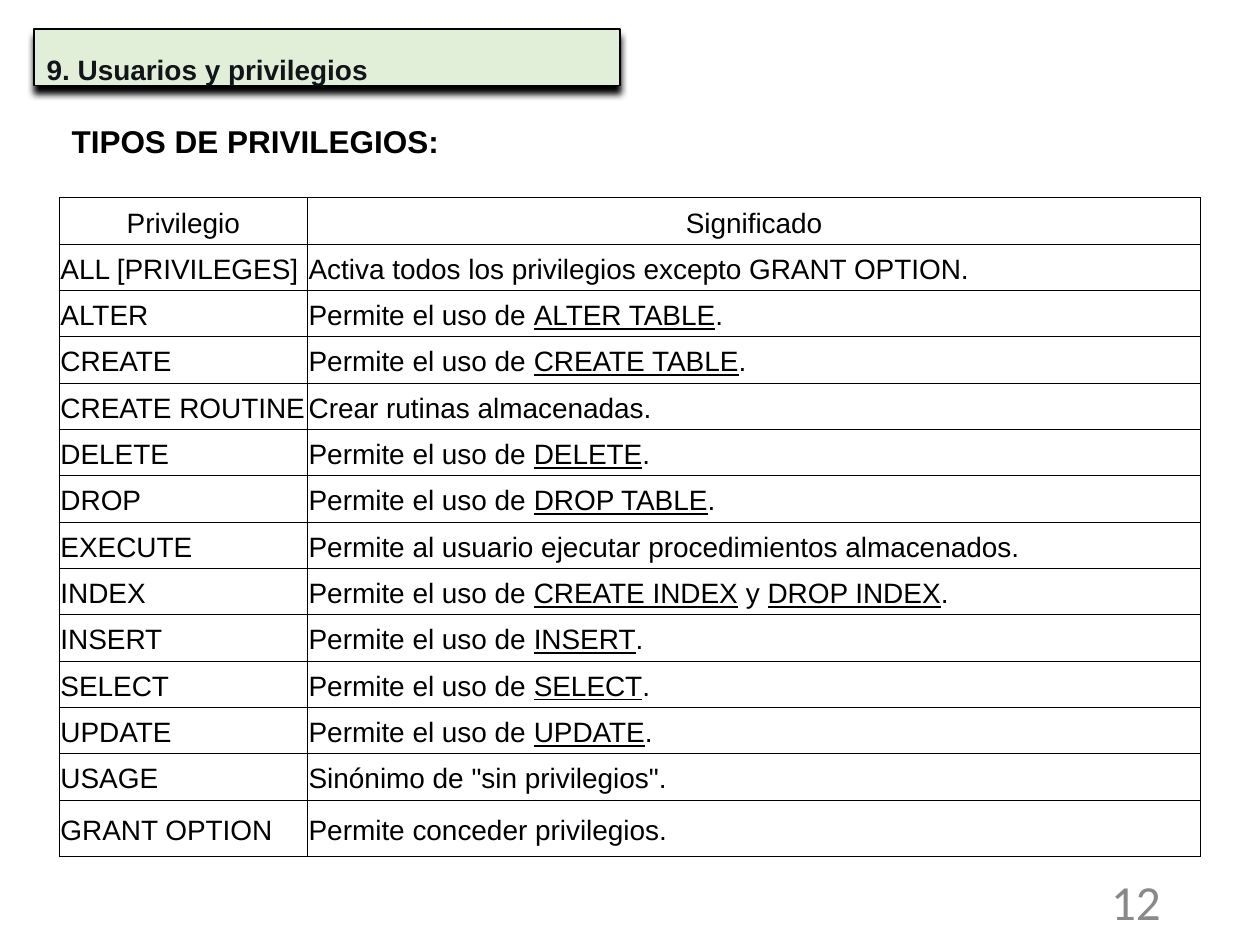
from lxml.etree import SubElement, fromstring
from pptx import Presentation
from pptx.dml.color import RGBColor as RGB
from pptx.enum.text import MSO_ANCHOR as Anchor, MSO_AUTO_SIZE as AutoSize, PP_ALIGN as Align
from pptx.oxml.ns import nsdecls, qn
from pptx.util import Inches, Pt

COLORS = {"black": "000000", "banner": "E1EFD8", "heading": "11151A", "number": "898989"}
UNIT = Inches(0.1)
HEADER = ("Privilegio", "Significado")
PRIVILEGES = [
    ("ALL [PRIVILEGES]", "Activa todos los privilegios excepto GRANT OPTION."),
    ("ALTER", "Permite el uso de _ALTER TABLE_."),
    ("CREATE", "Permite el uso de _CREATE TABLE_."),
    ("CREATE ROUTINE", "Crear rutinas almacenadas."),
    ("DELETE", "Permite el uso de _DELETE_."),
    ("DROP", "Permite el uso de _DROP TABLE_."),
    ("EXECUTE", "Permite al usuario ejecutar procedimientos almacenados."),
    ("INDEX", "Permite el uso de _CREATE INDEX_ y _DROP INDEX_."),
    ("INSERT", "Permite el uso de _INSERT_."),
    ("SELECT", "Permite el uso de _SELECT_."),
    ("UPDATE", "Permite el uso de _UPDATE_."),
    ("USAGE", 'Sinónimo de "sin privilegios".'),
    ("GRANT OPTION", "Permite conceder privilegios."),
]


def grid(*cells):
    """Turn grid columns and rows (100 by 75 on the slide) into lengths."""
    return [int(n * UNIT) for n in cells]


def set_attrs(obj, **values):
    """Set each named value on an object."""
    for name, value in values.items():
        setattr(obj, name, value)


def write(tf, text, color="black", para=None, **font):
    """Write one paragraph, underlining the parts between underscores."""
    p = tf.paragraphs[0]
    set_attrs(p, **(para or {}))
    for i, part in enumerate(text.split("_")):
        r = p.add_run()
        r.text = part
        r.font.color.rgb = RGB.from_string(COLORS[color])
        set_attrs(r.font, **{"name": "Arial", "size": Pt(16), "underline": i % 2 == 1, **font})
    return p


def add_shadow(element, color):
    """Put a downward shadow right after a fill or line element."""
    element.addnext(fromstring(
        f'<a:effectLst {nsdecls("a")}><a:outerShdw blurRad="{Pt(4)}" dist="{Pt(4)}" dir="5400000">'
        f'<a:srgbClr val="{COLORS[color]}"/></a:outerShdw></a:effectLst>'))


def add_banner(s, text, box):
    """Format the title placeholder as the shaded section banner."""
    sp = s.shapes.title
    set_attrs(sp, **dict(zip(("left", "top", "width", "height"), grid(*box))))
    sp.fill.solid()
    sp.fill.fore_color.rgb = RGB.from_string(COLORS["banner"])
    sp.line.color.rgb = RGB.from_string(COLORS["black"])
    sp.line.width = Pt(0.75)
    add_shadow(sp.element.spPr.find(qn("a:ln")), "black")
    set_attrs(sp.text_frame, vertical_anchor=Anchor.TOP, word_wrap=True, auto_size=AutoSize.NONE)
    write(sp.text_frame, text, "heading", {"alignment": Align.LEFT, "line_spacing": 1.5}, bold=True)


def add_text(s, text, box, anchor=Anchor.TOP, **style):
    """Add a wrapping text box and return its paragraph."""
    tf = s.shapes.add_textbox(*grid(*box)).text_frame
    set_attrs(tf, word_wrap=True, vertical_anchor=anchor)
    return write(tf, text, **style)


def add_borders(cell):
    """Draw thin lines on the four sides of a cell."""
    tc_pr = cell._tc.get_or_add_tcPr()
    for i, side in enumerate("LRTB"):
        ln = SubElement(tc_pr, qn(f"a:ln{side}"), w=str(Pt(0.75)))
        fill = SubElement(ln, qn("a:solidFill"))
        SubElement(fill, qn("a:srgbClr"), val=COLORS["black"])
        tc_pr.insert(i, ln)


def add_privileges(s, rows, corner, widths, heights):
    """Add the bordered table with a centred header row."""
    size = grid(sum(widths), sum(heights))
    table = s.shapes.add_table(len(rows), len(widths), *grid(*corner), *size).table
    set_attrs(table, first_row=False, horz_banding=False)
    for col, width in zip(table.columns, grid(*widths)):
        col.width = width
    margins = dict.fromkeys(("margin_left", "margin_right", "margin_top", "margin_bottom"), Inches(0.01))
    for i, (row, height) in enumerate(zip(table.rows, grid(*heights))):
        row.height = height
        align = Align.LEFT if i else Align.CENTER
        for cell, text in zip(row.cells, rows[i]):
            set_attrs(cell, vertical_anchor=Anchor.MIDDLE, **margins)
            cell.fill.background()
            add_borders(cell)
            write(cell.text_frame, text, para={"alignment": align, "line_spacing": 1.15})


def main():
    """Build the slide and save it."""
    prs = Presentation()
    set_attrs(prs, slide_width=100 * UNIT, slide_height=75 * UNIT)
    s = prs.slides.add_slide(prs.slide_layouts[5])
    add_banner(s, "9. Usuarios y privilegios", (2.7, 2.3, 46.5, 4.5))
    add_text(s, "12", (70.6, 69.5, 22.5, 4), Anchor.MIDDLE, color="number",
             para={"alignment": Align.RIGHT}, name="Calibri", size=Pt(28))
    p = add_text(s, "TIPOS DE PRIVILEGIOS:", (4.7, 9.2, 87.7, 4), size=Pt(18), bold=True)
    add_shadow(p.runs[0].font._element.find(qn("a:solidFill")), "banner")
    rows = [HEADER, *PRIVILEGES]
    add_privileges(s, rows, (4.7, 15.7), (19.7, 70.9), [3.68] * len(PRIVILEGES) + [4.5])
    prs.save("out.pptx")


if __name__ == "__main__":
    main()
